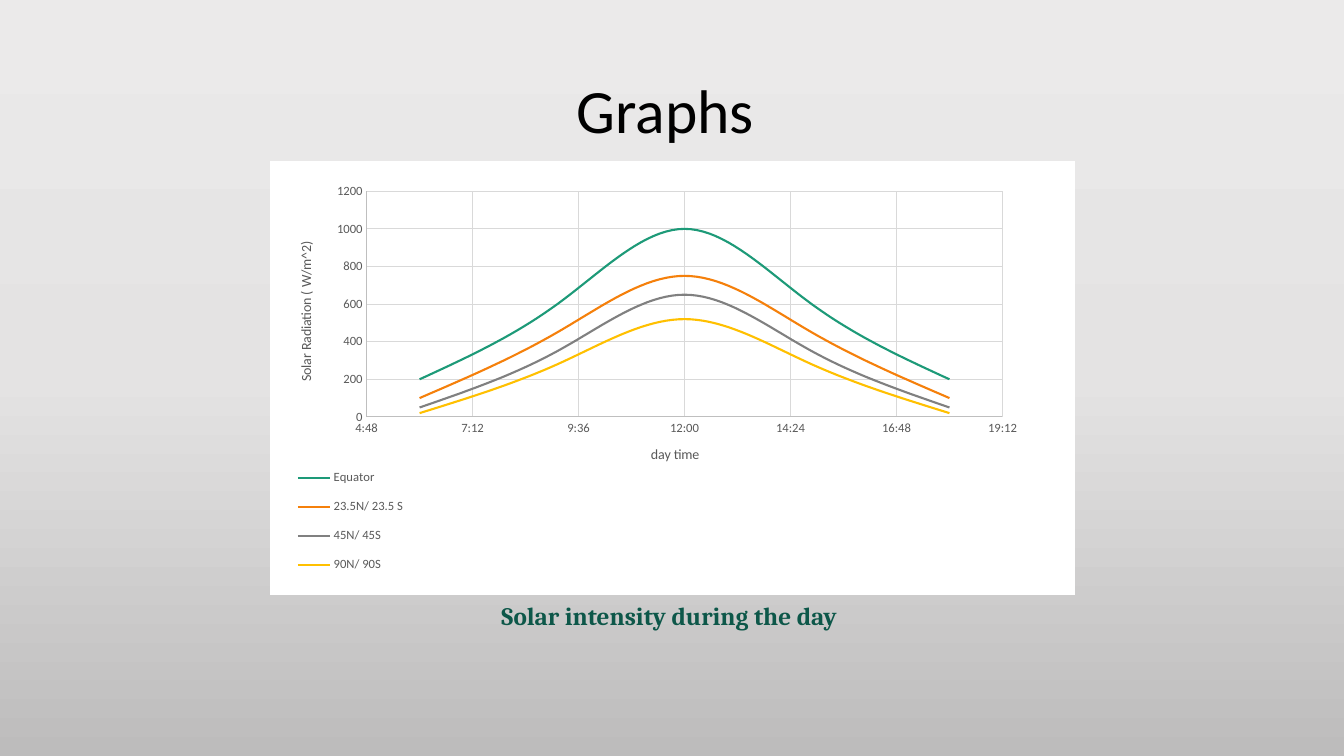
from lxml import etree
from pptx import Presentation
from pptx import util as u
from pptx.chart.data import XyChartData
from pptx.dml.color import RGBColor
from pptx.enum import chart as kinds, text
from pptx.oxml import parse_xml
from pptx.oxml.ns import nsdecls, qn

PX = 914400 / 100.8
INK = {
    "title": "000000", "caption": "0D5749", "label": "595959",
    "axis": "BFBFBF", "grid": "D9D9D9", "panel": "FFFFFF",
}
SKY = {0: "EBEAEA", 50: "E4E3E3", 100: "BDBCBC"}
HOURS = [6, 9, 12, 15, 18]
# latitude: (line colour, radiation at sunrise, mid-morning and noon)
BANDS = {
    "Equator": ("1D9A78", 200, 600, 1000),
    "23.5N/ 23.5 S": ("F5800B", 100, 450, 750),
    "45N/ 45S": ("808080", 50, 350, 650),
    "90N/ 90S": ("FFC000", 20, 280, 520),
}


def px(n):
    return u.Emu(round(n * PX))


def rgb(code):
    return RGBColor.from_string(code)


def style(font, color, **look):
    font.color.rgb = rgb(color)
    for key, value in look.items():
        setattr(font, key, value)


def stroke(line, color, width):
    line.color.rgb = rgb(color)
    line.width = u.Pt(width)


def sky(slide):
    """Fill the background with the vertical gradient."""
    fill = slide.background.fill
    fill.gradient()
    fill.gradient_angle = 270
    stops = slide.element.find(".//" + qn("a:gsLst"))
    for stop in list(stops):
        stops.remove(stop)
    for pos, color in SKY.items():
        stop = etree.SubElement(stops, qn("a:gs"), pos=str(pos * 1000))
        etree.SubElement(stop, qn("a:srgbClr"), val=color)


def place(part, index, inner=False, **spots):
    """Give a chart part a manual layout, as fractions of the chart."""
    old = part.find(qn("c:layout"))
    if old is not None:
        part.remove(old)
    layout = etree.Element(qn("c:layout"))
    manual = etree.SubElement(layout, qn("c:manualLayout"))
    if inner:
        etree.SubElement(manual, qn("c:layoutTarget"), val="inner")
    for key in ("x", "y"):
        etree.SubElement(manual, qn(f"c:{key}Mode"), val="edge")
    for key, value in spots.items():
        etree.SubElement(manual, qn(f"c:{key}"), val=str(value))
    part.insert(index, layout)


def scale(axis, name, spot, **limits):
    for key, value in limits.items():
        setattr(axis, key, value)
    axis.has_major_gridlines = True
    axis.major_tick_mark = axis.minor_tick_mark = kinds.XL_TICK_MARK.NONE
    stroke(axis.format.line, INK["axis"], 0.75)
    stroke(axis.major_gridlines.format.line, INK["grid"], 0.75)
    style(axis.tick_labels.font, INK["label"], size=u.Pt(9), name="Calibri")
    title = axis.axis_title
    title.text_frame.text = name
    run = title.text_frame.paragraphs[0].runs[0]
    style(run.font, INK["label"], size=u.Pt(10), name="Calibri", bold=False)
    place(title._element, 1, **spot)


def graph(slide, box):
    data = XyChartData()
    for name, (_, *rise) in BANDS.items():
        series = data.add_series(name)
        for hour, value in zip(HOURS, rise + rise[-2::-1]):
            series.add_data_point(round(hour / 24, 2), value)
    kind = kinds.XL_CHART_TYPE.XY_SCATTER_SMOOTH_NO_MARKERS
    chart = slide.shapes.add_chart(kind, *map(px, box), data).chart
    chart.has_title = False
    style(chart.font, INK["title"], size=u.Pt(10), name="Calibri")
    panel = parse_xml(
        f'<c:spPr {nsdecls("c", "a")}><a:solidFill><a:srgbClr val="{INK["panel"]}"/>'
        "</a:solidFill><a:ln><a:noFill/></a:ln></c:spPr>")
    chart.element.find(qn("c:chart")).addnext(panel)

    plot = chart.plots[0]
    plot.vary_by_categories = False
    for series, (color, *_) in zip(plot.series, BANDS.values()):
        stroke(series.format.line, color, 1.5)
        series.marker.style = kinds.XL_MARKER_STYLE.NONE
    for smooth in chart.element.iter(qn("c:smooth")):
        smooth.set("val", "1")
    area = chart.element.find(".//" + qn("c:plotArea"))
    place(area, 0, inner=True, x=0.12, y=0.07, w=0.79, h=0.52)

    day, power = chart.category_axis, chart.value_axis
    scale(day, "day time", {"x": 0.47, "y": 0.65},
          minimum_scale=0.2, maximum_scale=0.8, major_unit=0.1)
    day.tick_labels.number_format = "h:mm"
    day.tick_labels.number_format_is_linked = False
    scale(power, "Solar Radiation ( W/m^2)", {"x": 0.03, "y": 0.18},
          minimum_scale=0, maximum_scale=1200, major_unit=200)
    body = power.axis_title._element.find(".//" + qn("a:bodyPr"))
    body.set("rot", "-5400000")
    body.set("vert", "horz")

    chart.has_legend = True
    key = chart.legend
    key.position = kinds.XL_LEGEND_POSITION.BOTTOM
    key.include_in_layout = False
    style(key.font, INK["label"], size=u.Pt(9), name="Calibri")
    place(key._element, 1, x=0.02, y=0.68, w=0.16, h=0.3)


def label(shape, box, words, color, **look):
    for side, n in zip(("left", "top", "width", "height"), box):
        setattr(shape, side, px(n))
    frame = shape.text_frame
    frame.word_wrap = True
    line = frame.paragraphs[0]
    line.alignment = text.PP_ALIGN.CENTER
    run = line.add_run()
    run.text = words
    style(run.font, color, **look)
    return frame


def main():
    deck = Presentation()
    deck.slide_width, deck.slide_height = px(1344), px(756)
    slide = deck.slides.add_slide(deck.slide_layouts[5])
    sky(slide)
    graph(slide, (270, 161, 805, 434))
    frame = label(slide.shapes.title, (93, 41, 1159, 146), "Graphs ",
                  INK["title"], size=u.Pt(44), name="Calibri")
    frame.vertical_anchor = text.MSO_ANCHOR.MIDDLE
    frame.paragraphs[0].line_spacing = 0.9
    box = (456, 595, 432, 72)
    label(slide.shapes.add_textbox(*map(px, box)), box,
          "Solar intensity during the day ", INK["caption"],
          size=u.Pt(18), name="Cambria", bold=True)
    deck.save("out.pptx")


if __name__ == "__main__":
    main()
